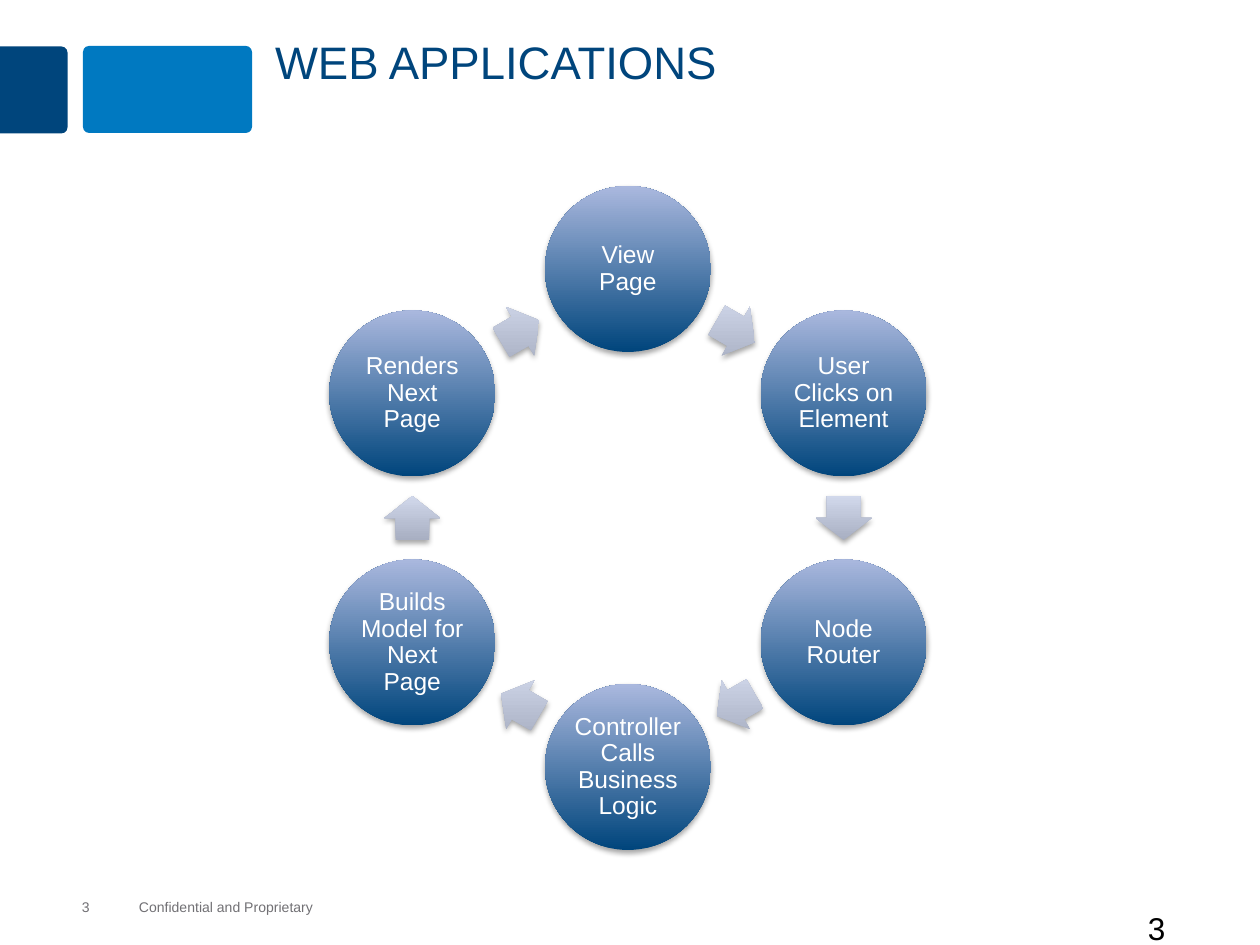
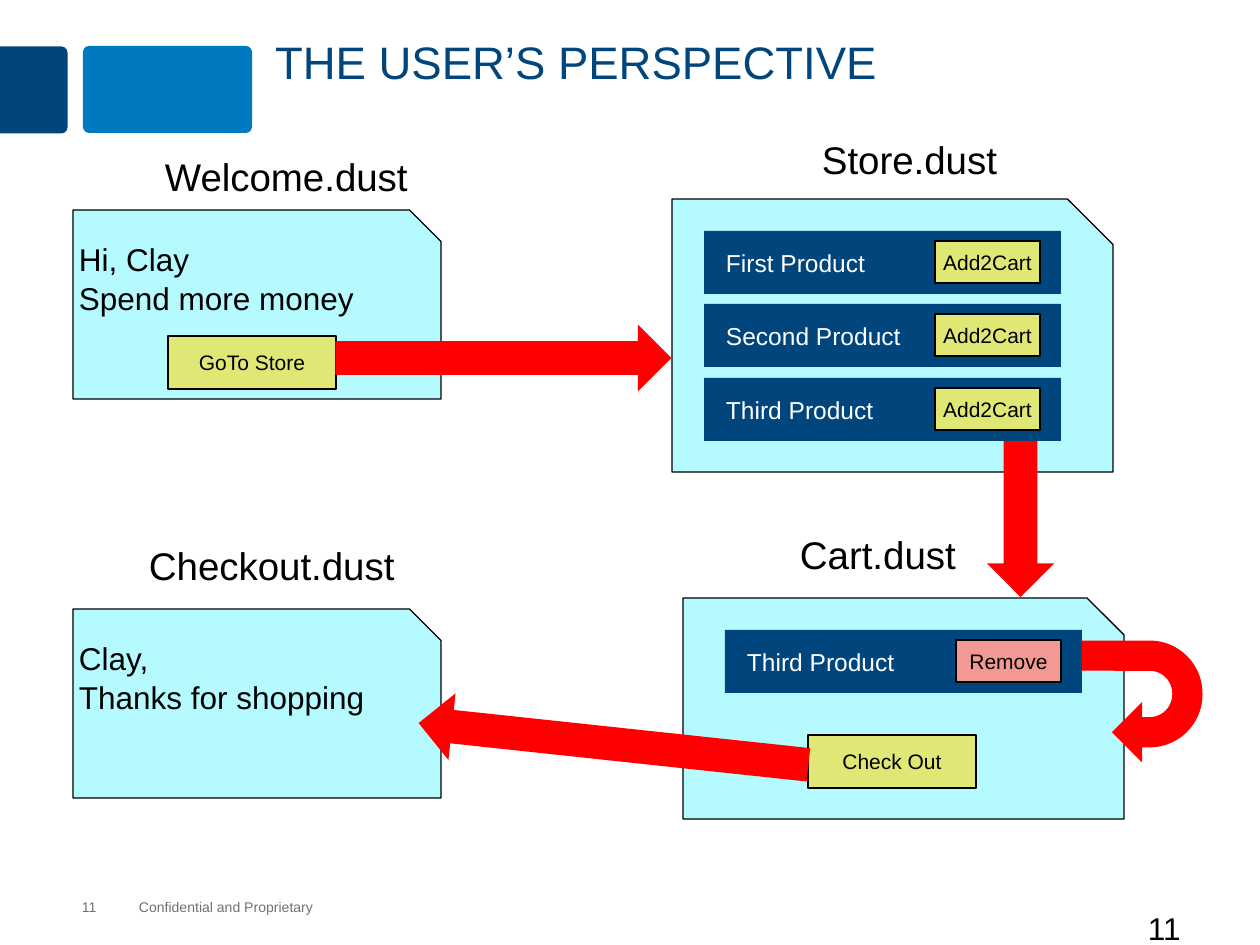
import math

import lxml.etree
import pptx
import pptx.dml.color
import pptx.enum.shapes
import pptx.enum.text
import pptx.oxml.ns
import pptx.util

EMU_PER_PX = 914400 / 126
SHAPES = pptx.enum.shapes.MSO_SHAPE
ALIGN = pptx.enum.text.PP_ALIGN
ANCHOR = pptx.enum.text.MSO_ANCHOR

COLORS = {
    "navy": "00457C",
    "blue": "0079C1",
    "periwinkle": "AAB8DE",
    "steel": "A8AFC2",
    "mist": "D1D8EB",
    "cyan": "B4FAFF",
    "yellow": "E0E775",
    "pink": "F19992",
    "red": "FF0000",
    "gray": "717074",
    "black": "000000",
    "white": "FFFFFF",
}


def px(length):
    return pptx.util.Emu(round(length * EMU_PER_PX))


def rgb(name):
    return pptx.dml.color.RGBColor.from_string(COLORS[name])


class Deck:
    """Holds the shared style and the slide being drawn."""

    font = "Arial"

    def __init__(self):
        self.presentation = pptx.Presentation()
        self.presentation.slide_width = px(1260)
        self.presentation.slide_height = px(945)
        self.slide = None

    def new_slide(self, title, number):
        self.slide = self.presentation.slides.add_slide(self.presentation.slide_layouts[6])
        # Band to the left of the title
        self.shape(SHAPES.ROUND_2_SAME_RECTANGLE, (-10, 56, 87, 68), "navy",
                   rotation=90, adjustments=(0.09, 0))
        self.shape(SHAPES.ROUNDED_RECTANGLE, (83, 46, 169, 87), "blue", adjustments=(0.07,))
        # Footer
        footer = {"size": 8, "color": "gray", "anchor": ANCHOR.MIDDLE, "margins": (0, 0, 0, 0)}
        self.text((139, 898, 240, 17), "Confidential and Proprietary", **footer)
        self.text((82, 898, 50, 17), number, **footer)
        # Title and page number
        self.text((262, 32, 966, 115), title, size=26, color="navy", line_spacing=0.95)
        self.text((1135, 903, 125, 63), number, size=18)

    def fill_text(self, shape, text, size, color="black", align=ALIGN.LEFT, anchor=ANCHOR.TOP,
                  margins=(13, 6, 13, 6), wrap=True, line_spacing=1.0, space_after=0):
        frame = shape.text_frame
        sides = ("left", "top", "right", "bottom")
        frame_format = {f"margin_{side}": px(margin) for side, margin in zip(sides, margins)}
        frame_format.update(word_wrap=wrap, vertical_anchor=anchor)
        paragraph_format = {"alignment": align, "line_spacing": line_spacing,
                            "space_after": pptx.util.Pt(space_after)}
        font_format = {"name": self.font, "size": pptx.util.Pt(size)}
        self.apply(frame, frame_format)
        frame.text = text
        for paragraph in frame.paragraphs:
            self.apply(paragraph, paragraph_format)
            for run in paragraph.runs:
                self.apply(run.font, font_format)
                run.font.color.rgb = rgb(color)

    @staticmethod
    def apply(target, values):
        for name, value in values.items():
            setattr(target, name, value)

    def text(self, box, text, **style):
        self.fill_text(self.slide.shapes.add_textbox(*map(px, box)), text, **style)

    def shape(self, kind, box, fill, line=None, rotation=0, adjustments=(), text=None, **style):
        shape = self.slide.shapes.add_shape(kind, *map(px, box))
        shape.shadow.inherit = False
        shape.rotation = rotation
        for index, value in enumerate(adjustments):
            shape.adjustments[index] = value
        if fill:
            shape.fill.solid()
            shape.fill.fore_color.rgb = rgb(fill)
        if line:
            shape.line.color.rgb = rgb(line)
            shape.line.width = pptx.util.Pt(0.75)
        else:
            shape.line.fill.background()
        if text:
            self.fill_text(shape, text, **style)
        return shape

    def raised_shape(self, kind, box, bottom, top, **options):
        """A shape with an upright gradient and a soft shadow below it."""
        shape = self.shape(kind, box, None, **options)
        shape.fill.gradient()
        shape.fill.gradient_angle = 90
        for stop, color in zip(shape.fill.gradient_stops, (bottom, top)):
            stop.color.rgb = rgb(color)
        properties = shape._element.spPr
        qn = pptx.oxml.ns.qn
        properties.find(qn("a:gradFill")).set("rotWithShape", "0")
        shadow = lxml.etree.SubElement(
            properties.find(qn("a:effectLst")), qn("a:outerShdw"),
            blurRad=str(pptx.util.Pt(3.1)), dist=str(pptx.util.Pt(1.8)),
            dir="5400000", rotWithShape="0")
        color = lxml.etree.SubElement(shadow, qn("a:srgbClr"), val=COLORS["black"])
        lxml.etree.SubElement(color, qn("a:alpha"), val="35000")

    def cycle(self, steps, center, radius, diameter):
        """Circles on a ring, each followed by an arrow to the next."""
        turn = 360 / len(steps)
        points = [(center[0] + radius * math.sin(math.radians(turn * index)),
                   center[1] - radius * math.cos(math.radians(turn * index)))
                  for index in range(len(steps))]
        for index, (step, (x, y)) in enumerate(zip(steps, points)):
            self.raised_shape(SHAPES.OVAL, (x - diameter / 2, y - diameter / 2, diameter, diameter),
                              "navy", "periwinkle", text=step, size=14, color="white",
                              align=ALIGN.CENTER, anchor=ANCHOR.MIDDLE,
                              margins=(3, 3, 3, 3), line_spacing=0.9)
            next_x, next_y = points[(index + 1) % len(points)]
            self.raised_shape(SHAPES.RIGHT_ARROW,
                              ((x + next_x) / 2 - 22, (y + next_y) / 2 - 28, 44, 56),
                              "steel", "mist", rotation=turn * (index + 0.5),
                              adjustments=(0.6, 0.5))

    def page(self, box, caption, caption_at, message=None):
        """A page card with its file name above."""
        self.shape(SHAPES.SNIP_1_RECTANGLE, box, "cyan", "black", text=message, size=18,
                   margins=(6, 14, 6, 6), wrap=False, space_after=1)
        self.text((*caption_at, 290, 59), caption, size=22)

    def button(self, box, label, fill="yellow"):
        self.shape(SHAPES.RECTANGLE, box, fill, "black", text=label, size=12,
                   align=ALIGN.CENTER, anchor=ANCHOR.MIDDLE, margins=(6, 6, 6, 6))

    def product(self, left, top, name, action, fill="yellow"):
        self.shape(SHAPES.RECTANGLE, (left, top, 357, 63), "navy", text=name, size=14,
                   color="white", anchor=ANCHOR.MIDDLE, margins=(22, 6, 6, 6))
        self.button((left + 231, top + 10, 105, 42), action, fill)

    def arrow(self, kind, box, rotation=0):
        self.shape(kind, box, "red", rotation=rotation)


def web_applications(deck):
    deck.new_slide("WEB APPLICATIONS", "3")
    steps = ("View Page", "User Clicks on Element", "Node Router",
             "Controller Calls Business Logic", "Builds Model for Next Page",
             "Renders Next Page")
    deck.cycle(steps, center=(628, 518), radius=249, diameter=166)


def user_perspective(deck):
    deck.new_slide("THE USER’S PERSPECTIVE", "11")
    # Pages
    deck.page((73, 210, 368, 189), "Welcome.dust", (152, 147), "Hi, Clay\nSpend more money")
    deck.page((672, 199, 441, 273), "Store.dust", (809, 130))
    deck.page((683, 598, 441, 221), "Cart.dust", (787, 525))
    deck.page((73, 609, 368, 189), "Checkout.dust", (136, 536), "Clay,\nThanks for shopping")
    # Products and buttons
    for index, name in enumerate(("First Product", "Second Product", "Third Product")):
        deck.product(704, 231 + 147 * index // 2, name, "Add2Cart")
    deck.product(725, 630, "Third Product", "Remove", "pink")
    deck.button((168, 336, 168, 53), "GoTo Store")
    deck.button((808, 735, 168, 53), "Check Out")
    # Steps from page to page
    deck.arrow(SHAPES.U_TURN_ARROW, (1081, 641, 122, 121), 90)
    deck.arrow(SHAPES.DOWN_ARROW, (987, 441, 67, 156))
    deck.arrow(SHAPES.DOWN_ARROW, (470, 190, 67, 336), 270)
    deck.arrow(SHAPES.DOWN_ARROW, (580, 548, 67, 392), 96.1)


def main():
    deck = Deck()
    web_applications(deck)
    user_perspective(deck)
    deck.presentation.save("out.pptx")


if __name__ == "__main__":
    main()
